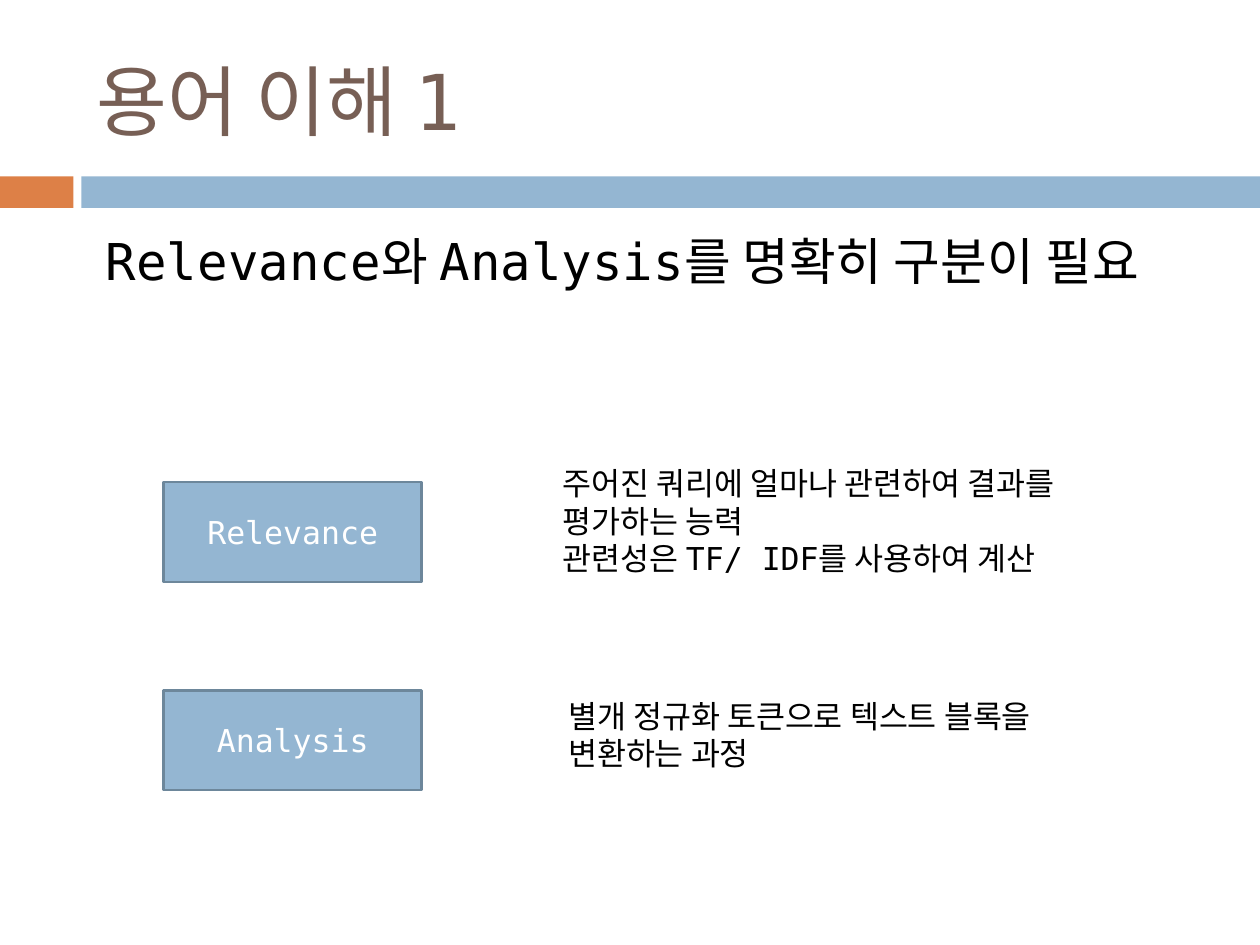
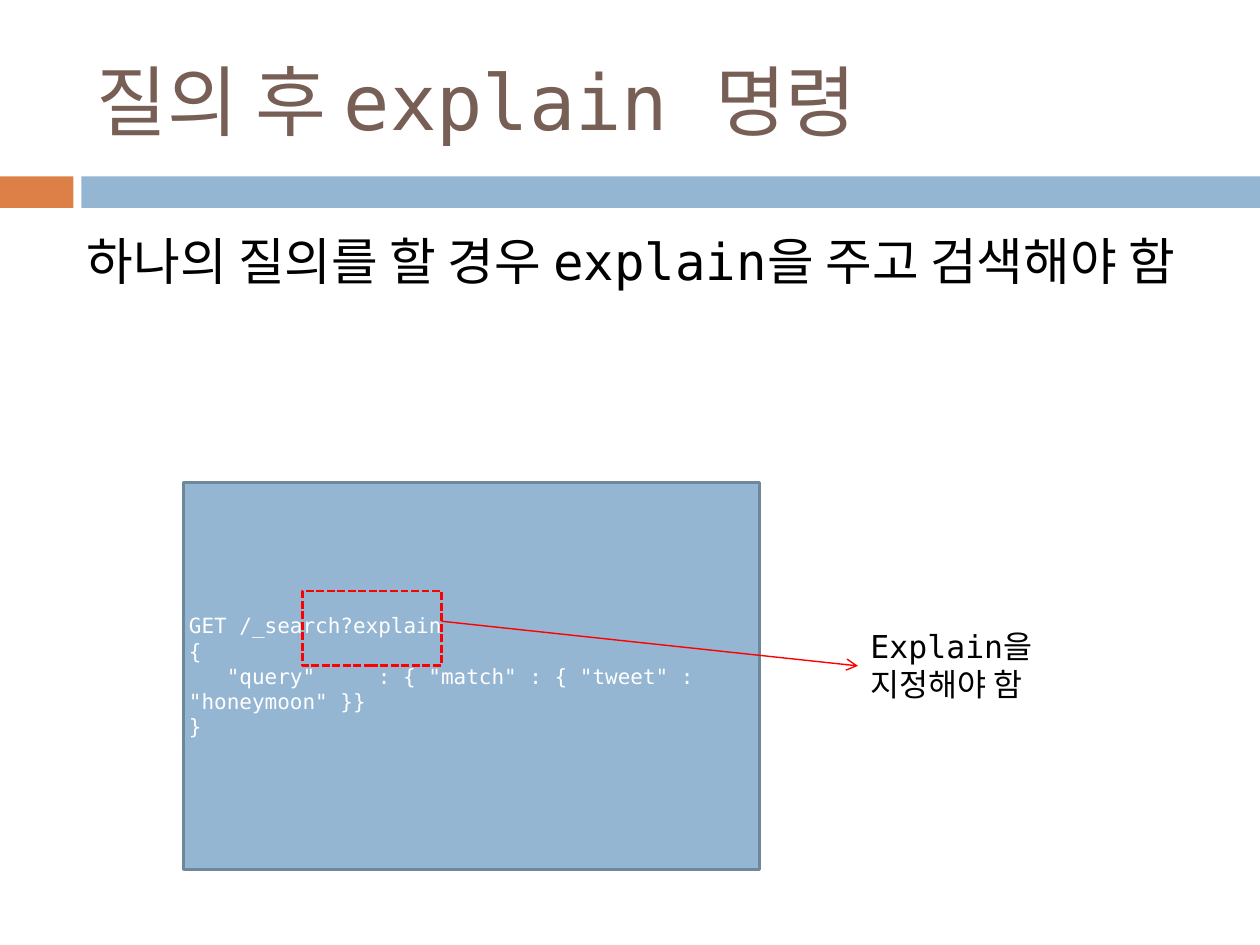
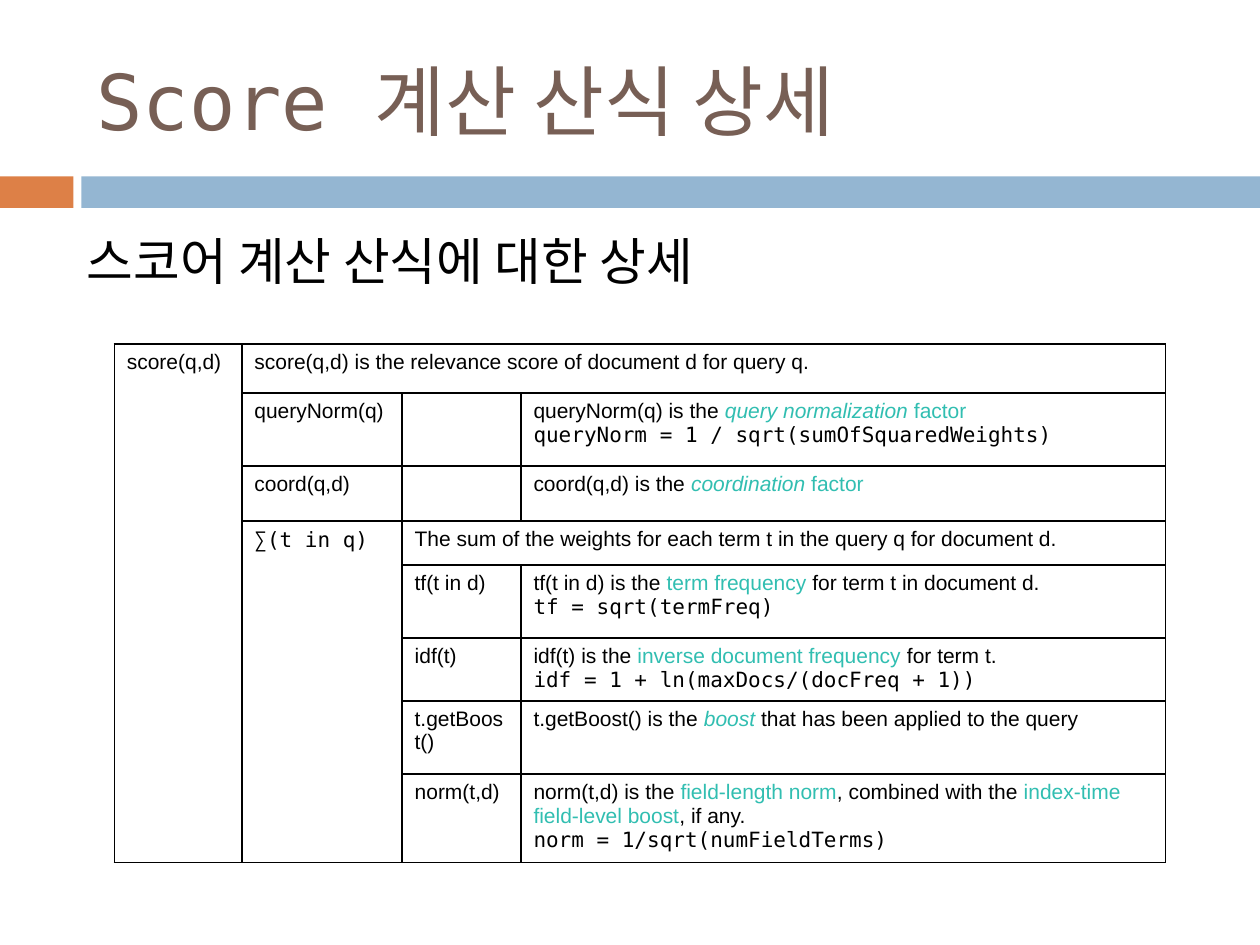
from dataclasses import dataclass

import lxml.etree
import pptx
import pptx.dml.color
import pptx.enum.dml
import pptx.enum.shapes
import pptx.enum.text
import pptx.oxml.ns
import pptx.shapes.autoshape
import pptx.shapes.connector
import pptx.slide
import pptx.table
import pptx.text.text
import pptx.util

Pt = pptx.util.Pt
RGBColor = pptx.dml.color.RGBColor
PP_ALIGN = pptx.enum.text.PP_ALIGN
MSO_ANCHOR = pptx.enum.text.MSO_ANCHOR
MSO_AUTO_SIZE = pptx.enum.text.MSO_AUTO_SIZE
RECTANGLE = pptx.enum.shapes.MSO_SHAPE.RECTANGLE
qn = pptx.oxml.ns.qn

ORANGE = RGBColor(0xDD, 0x80, 0x47)
BLUE = RGBColor(0x94, 0xB6, 0xD2)
SLATE = RGBColor(0x6D, 0x87, 0x9B)
BROWN = RGBColor(0x77, 0x5F, 0x55)
TEAL = RGBColor(0x31, 0xBE, 0xB1)
RED = RGBColor(0xFF, 0x00, 0x00)
BLACK = RGBColor(0x00, 0x00, 0x00)
WHITE = RGBColor(0xFF, 0xFF, 0xFF)

MONO = "DejaVu Sans Mono"
SANS = "Arial"


@dataclass(frozen=True)
class Box:
    left: float
    top: float
    width: float
    height: float

    def lengths(self) -> tuple[pptx.util.Length, ...]:
        return Pt(self.left), Pt(self.top), Pt(self.width), Pt(self.height)


@dataclass(frozen=True)
class Style:
    size: float
    color: RGBColor
    align: PP_ALIGN = PP_ALIGN.LEFT
    space_before: float = 0


@dataclass(frozen=True)
class Span:
    text: str
    color: RGBColor = BLACK
    italic: bool = False
    font: str = SANS


@dataclass(frozen=True)
class Entry:
    row: int
    col: int
    lines: tuple[tuple[Span, ...], ...]
    rows: int = 1
    cols: int = 1


@dataclass(frozen=True)
class Term:
    name: str
    top: float
    note: Box
    lines: tuple[str, ...]


TITLE = Style(44, BROWN)
LEAD = Style(29, BLACK, space_before=7)
NOTE = Style(18, BLACK)
LABEL = Style(18, WHITE, PP_ALIGN.CENTER)
CODE = Style(12, WHITE)

TITLE_BOX = Box(48, 18, 642, 78)
LEAD_BOX = Box(36, 128, 648, 93.6)
BANDS = ((Box(0, 100.8, 42, 18), ORANGE), (Box(46.5, 100.8, 673.5, 18), BLUE))

TERMS = (
    Term("Relevance", 275.5, Box(314.6, 261.5, 306, 72.7),
         ("주어진 쿼리에 얼마나 관련하여 결과를 평가하는 능력",
          "관련성은 TF/ IDF를 사용하여 계산")),
    Term("Analysis", 394.5, Box(317.5, 394.5, 306, 51),
         ("별개 정규화 토큰으로 텍스트 블록을 변환하는 과정",)),
)

QUERY = (
    "GET /_search?explain",
    "{",
    '"query"\t: { "match" : { "tweet" : "honeymoon" }}',
    "}",
)
QUERY_CHAR = 7.22

COLUMNS = (72.9, 91.6, 67.9, 368.4)
ROWS = (28, 41.8, 31.6, 25, 41.8, 24, 41.8, 41.8)


def formula(text: str) -> tuple[Span, ...]:
    return (Span(text, font=MONO),)


def plain(text: str) -> tuple[tuple[Span, ...], ...]:
    return ((Span(text),),)


ENTRIES = (
    Entry(0, 0, plain("score(q,d)"), rows=8),
    Entry(0, 1, plain("score(q,d) is the relevance score of document d for query q."),
          cols=3),
    Entry(1, 1, plain("queryNorm(q)")),
    Entry(1, 3, ((Span("queryNorm(q) is the "),
                  Span("query normalization", TEAL, True), Span(" factor", TEAL)),
                 formula("queryNorm = 1 / sqrt(sumOfSquaredWeights)"))),
    Entry(2, 1, plain("coord(q,d)")),
    Entry(2, 3, ((Span("coord(q,d) is the "),
                  Span("coordination", TEAL, True), Span(" factor", TEAL)),)),
    Entry(3, 1, (formula("∑(t in q)"),), rows=5),
    Entry(3, 2, plain("The sum of the weights for each term t in the query q "
                      "for document d."), cols=2),
    Entry(4, 2, plain("tf(t in d)")),
    Entry(4, 3, ((Span("tf(t in d) is the "), Span("term frequency", TEAL),
                  Span(" for term t in document d.")),
                 formula("tf = sqrt(termFreq)"))),
    Entry(5, 2, plain("idf(t)")),
    Entry(5, 3, ((Span("idf(t) is the "), Span("inverse document frequency", TEAL),
                  Span(" for term t.")),
                 formula("idf = 1 + ln(maxDocs/(docFreq + 1))"))),
    Entry(6, 2, plain("t.getBoost()")),
    Entry(6, 3, ((Span("t.getBoost() is the "), Span("boost", TEAL, True),
                  Span(" that has been applied to the query")),)),
    Entry(7, 2, plain("norm(t,d)")),
    Entry(7, 3, ((Span("norm(t,d) is the "), Span("field-length norm", TEAL),
                  Span(", combined with the "),
                  Span("index-time field-level boost", TEAL), Span(", if any.")),
                 formula("norm = 1/sqrt(numFieldTerms)"))),
)


def write(tf: pptx.text.text.TextFrame, lines: tuple[str, ...], style: Style) -> None:
    tf.word_wrap = True
    for i, line in enumerate(lines):
        p = tf.add_paragraph() if i else tf.paragraphs[0]
        p.text = line
        p.alignment = style.align
        p.space_before = Pt(style.space_before)
        p.font.name = MONO
        p.font.size = Pt(style.size)
        p.font.color.rgb = style.color


def add_rect(s: pptx.slide.Slide, box: Box, fill: RGBColor | None = None,
             line: RGBColor | None = None) -> pptx.shapes.autoshape.Shape:
    sp = s.shapes.add_shape(RECTANGLE, *box.lengths())
    sp.shadow.inherit = False
    if fill is None:
        sp.fill.background()
    else:
        sp.fill.solid()
        sp.fill.fore_color.rgb = fill
    if line is None:
        sp.line.fill.background()
    else:
        sp.line.color.rgb = line
        sp.line.width = Pt(1.5)
    sp.text_frame.vertical_anchor = MSO_ANCHOR.MIDDLE
    return sp


def add_text(s: pptx.slide.Slide, box: Box, lines: tuple[str, ...], style: Style,
             grow: bool = True) -> pptx.shapes.autoshape.Shape:
    sp = s.shapes.add_textbox(*box.lengths())
    write(sp.text_frame, lines, style)
    if grow:
        sp.text_frame.auto_size = MSO_AUTO_SIZE.SHAPE_TO_FIT_TEXT
    return sp


def add_arrow(s: pptx.slide.Slide, x: float, y: float,
              target: pptx.shapes.autoshape.Shape) -> pptx.shapes.connector.Connector:
    arrow = s.shapes.add_connector(pptx.enum.shapes.MSO_CONNECTOR.STRAIGHT,
                                   Pt(x), Pt(y), target.left, target.top)
    arrow.end_connect(target, 1)
    arrow.line.color.rgb = RED
    arrow.line.width = Pt(0.79)
    lxml.etree.SubElement(arrow.line._get_or_add_ln(), qn("a:tailEnd"), type="arrow")
    lxml.etree.SubElement(arrow._element.spPr, qn("a:effectLst"))
    return arrow


def add_slide(prs: pptx.presentation.Presentation, title: str,
              lead: str) -> pptx.slide.Slide:
    s = prs.slides.add_slide(prs.slide_layouts[5])
    for box, color in BANDS:
        add_rect(s, box, color)
    sp = s.shapes.title
    sp.left, sp.top, sp.width, sp.height = TITLE_BOX.lengths()
    write(sp.text_frame, (title,), TITLE)
    sp.text_frame.vertical_anchor = MSO_ANCHOR.MIDDLE
    sp.text_frame.auto_size = MSO_AUTO_SIZE.NONE
    add_text(s, LEAD_BOX, (lead,), LEAD, grow=False)
    return s


def indent_query(p: pptx.text.text._Paragraph) -> None:
    pPr = p._p.get_or_add_pPr()
    pPr.set("marL", "0")
    pPr.set("indent", str(Pt(3 * QUERY_CHAR)))
    tabs = lxml.etree.Element(qn("a:tabLst"))
    lxml.etree.SubElement(tabs, qn("a:tab"), pos=str(Pt(13 * QUERY_CHAR)), algn="l")
    pPr.find(qn("a:defRPr")).addprevious(tabs)


def format_cell(cell: pptx.table._Cell) -> None:
    tcPr = cell._tc.get_or_add_tcPr()
    for side in ("lnL", "lnR", "lnT", "lnB"):
        ln = lxml.etree.SubElement(tcPr, qn(f"a:{side}"), w=str(Pt(1)))
        fill = lxml.etree.SubElement(ln, qn("a:solidFill"))
        lxml.etree.SubElement(fill, qn("a:srgbClr"), val=str(BLACK))
    cell.fill.solid()
    cell.fill.fore_color.rgb = WHITE
    cell.text_frame.paragraphs[0].font.size = Pt(12)


def fill_cell(cell: pptx.table._Cell, lines: tuple[tuple[Span, ...], ...]) -> None:
    tf = cell.text_frame
    for i, spans in enumerate(lines):
        p = tf.add_paragraph() if i else tf.paragraphs[0]
        for span in spans:
            r = p.add_run()
            r.text = span.text
            r.font.name = span.font
            r.font.size = Pt(12)
            r.font.italic = span.italic
            r.font.color.rgb = span.color


def add_terms_slide(prs: pptx.presentation.Presentation) -> None:
    s = add_slide(prs, "용어 이해 1", " Relevance와 Analysis를 명확히 구분이 필요")
    for term in TERMS:
        sp = add_rect(s, Box(93.5, term.top, 147.5, 57), BLUE, SLATE)
        write(sp.text_frame, (term.name,), LABEL)
        add_text(s, term.note, term.lines, NOTE)


def add_explain_slide(prs: pptx.presentation.Presentation) -> None:
    s = add_slide(prs, "질의 후 explain 명령",
                  " 하나의 질의를 할 경우 explain을 주고 검색해야 함")
    query = add_rect(s, Box(105, 275.8, 329, 221), BLUE, SLATE)
    write(query.text_frame, QUERY, CODE)
    query.text_frame.margin_left = Pt(3)
    indent_query(query.text_frame.paragraphs[2])
    note = add_text(s, Box(490.3, 355, 130.3, 51), ("Explain을 지정해야 함",), NOTE)
    frame = add_rect(s, Box(172.8, 337.7, 79.4, 42.5), line=RED)
    frame.line.dash_style = pptx.enum.dml.MSO_LINE.SQUARE_DOT
    add_arrow(s, 252.2, 355, note)


def add_score_slide(prs: pptx.presentation.Presentation) -> None:
    s = add_slide(prs, "Score 계산 산식 상세", " 스코어 계산 산식에 대한 상세")
    box = Box(65.3, 196.5, sum(COLUMNS), sum(ROWS))
    table = s.shapes.add_table(len(ROWS), len(COLUMNS), *box.lengths()).table
    table.first_row = False
    table.horz_banding = False
    for column, width in zip(table.columns, COLUMNS):
        column.width = Pt(width)
    for row, height in zip(table.rows, ROWS):
        row.height = Pt(height)
    for cell in table.iter_cells():
        format_cell(cell)
    for entry in ENTRIES:
        cell = table.cell(entry.row, entry.col)
        if entry.rows > 1 or entry.cols > 1:
            cell.merge(table.cell(entry.row + entry.rows - 1,
                                  entry.col + entry.cols - 1))
        fill_cell(cell, entry.lines)


def main() -> None:
    prs = pptx.Presentation()
    prs.slide_width, prs.slide_height = Pt(720), Pt(540)
    add_terms_slide(prs)
    add_explain_slide(prs)
    add_score_slide(prs)
    prs.save("out.pptx")


if __name__ == "__main__":
    main()
